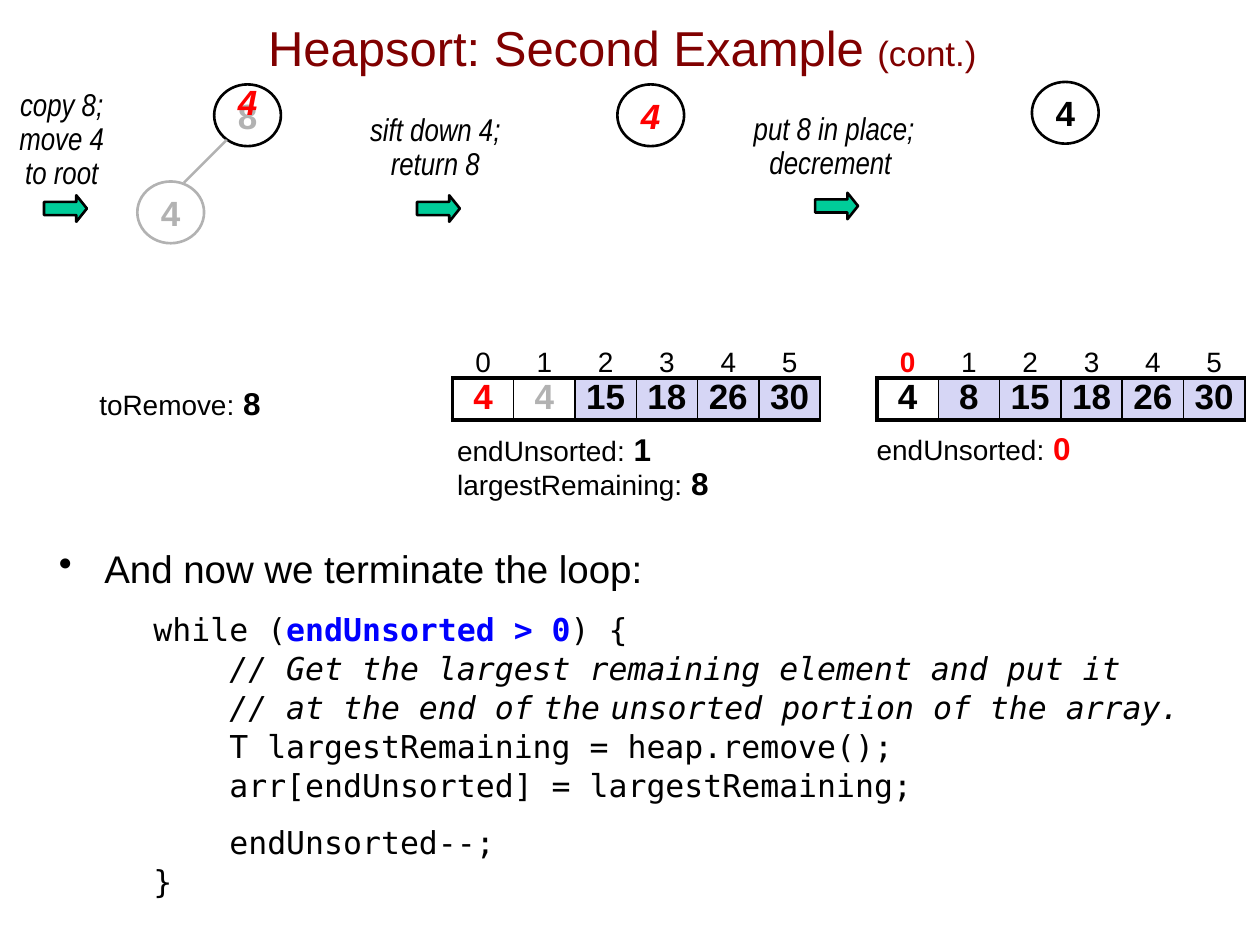
import pptx
import pptx.chart.data
import pptx.dml.color
import pptx.enum.shapes
import pptx.enum.text
import pptx.oxml
import pptx.oxml.ns
import pptx.util
from lxml import etree

Inches = pptx.util.Inches
Pt = pptx.util.Pt
Shape = pptx.enum.shapes.MSO_SHAPE
Align = pptx.enum.text.PP_ALIGN
Anchor = pptx.enum.text.MSO_ANCHOR
qn = pptx.oxml.ns.qn

COLORS = {
    "title": "800000", "ink": "000000", "gray": "B2B2B2", "red": "FF0000",
    "blue": "0000FF", "arrow": "00CC99", "sorted": "D6D6F5",
}


def rgb(name):
    return pptx.dml.color.RGBColor.from_string(COLORS[name])


class Board:
    """Holds the style and the slide being drawn."""

    sans, narrow, mono = "Arial", "Arial Narrow", "DejaVu Sans Mono"
    line = 1.5

    def __init__(self, slide):
        self.slide = slide
        self.shapes = slide.shapes

    def style(self, run, size, color="ink", bold=False, italic=False, face=None):
        font = run.font
        font.name = face or self.sans
        font.size = Pt(size)
        font.color.rgb = rgb(color)
        font.bold, font.italic = bold, italic

    def fill_para(self, para, parts):
        """Write runs given as (text, style) pairs."""
        for text, look in parts:
            run = para.add_run()
            run.text = text
            self.style(run, **look)

    def title(self, parts):
        box = self.shapes.title
        box.left, box.top = Inches(0.64), Inches(-0.09)
        box.width, box.height = Inches(8.6), Inches(0.93)
        box.text_frame.vertical_anchor = Anchor.MIDDLE
        para = box.text_frame.paragraphs[0]
        para.alignment = Align.CENTER
        self.fill_para(para, parts)

    def box(self, left, top, width, height, wrap=False):
        frame = self.shapes.add_textbox(
            Inches(left), Inches(top), Inches(width), Inches(height)).text_frame
        frame.word_wrap = wrap
        return frame

    def note(self, left, top, width, height, text):
        para = self.box(left, top, width, height).paragraphs[0]
        para.text = text
        para.alignment, para.line_spacing = Align.CENTER, 0.9
        for run in para.runs:
            self.style(run, 18, italic=True, face=self.narrow)

    def values(self, left, top, width, height, pairs, space=0.9):
        """List variables as (name, value, value colour)."""
        frame = self.box(left, top, width, height)
        for i, (name, value, color) in enumerate(pairs):
            para = frame.add_paragraph() if i else frame.paragraphs[0]
            para.line_spacing = space
            self.fill_para(para, [
                (name + ":", {"size": 16}), (" ", {"size": 18}),
                (value, {"size": 18, "color": color, "bold": True})])

    def node(self, left, top, text, color="ink", edge="ink", italic=False):
        oval = self.shapes.add_shape(
            Shape.OVAL, Inches(left), Inches(top), Inches(0.53), Inches(0.49))
        oval.shadow.inherit = False
        oval.fill.background()
        if edge:
            oval.line.color.rgb = rgb(edge)
            oval.line.width = Pt(self.line)
        else:
            oval.line.fill.background()
        frame = oval.text_frame
        frame.margin_left = frame.margin_right = 0
        frame.margin_top = frame.margin_bottom = 0
        frame.vertical_anchor = Anchor.MIDDLE
        frame.text = text
        frame.paragraphs[0].alignment = Align.CENTER
        self.style(frame.paragraphs[0].runs[0], 20, color, True, italic)

    def edge(self, x1, y1, x2, y2):
        link = self.shapes.add_connector(
            pptx.enum.shapes.MSO_CONNECTOR.STRAIGHT,
            Inches(x1), Inches(y1), Inches(x2), Inches(y2))
        link.line.color.rgb = rgb("gray")
        link.line.width = Pt(self.line)
        etree.SubElement(link._element.spPr, qn("a:effectLst"))

    def arrow(self, left, top):
        arrow = self.shapes.add_shape(
            Shape.RIGHT_ARROW, Inches(left), Inches(top), Inches(0.34), Inches(0.21))
        arrow.shadow.inherit = False
        arrow.adjustments[0], arrow.adjustments[1] = 0.5, 0.4
        arrow.fill.solid()
        arrow.fill.fore_color.rgb = rgb("arrow")
        arrow.line.color.rgb = rgb("ink")
        arrow.line.width = Pt(self.line)

    def border(self, cell, first):
        props = cell._tc.get_or_add_tcPr()
        widths = {"L": 2.25 if first else 1, "R": 1, "T": 2.25, "B": 2.25}
        for i, (side, width) in enumerate(widths.items()):
            line = etree.Element(qn("a:ln" + side), w=str(Pt(width)))
            solid = etree.SubElement(line, qn("a:solidFill"))
            etree.SubElement(solid, qn("a:srgbClr"), val=COLORS["ink"])
            props.insert(i, line)

    def array(self, left, items, start, looks, current=None):
        """Draw indices above items; those from start on are sorted."""
        table = self.shapes.add_table(
            2, len(items), Inches(left), Inches(2.68), Inches(2.92), Inches(0.65)).table
        table.first_row = table.horz_banding = False
        table.rows[0].height, table.rows[1].height = Inches(0.32), Inches(0.33)
        for col, item in enumerate(items):
            table.columns[col].width = Inches(2.92 / len(items))
            head, cell = table.cell(0, col), table.cell(1, col)
            head.text, cell.text = str(col), str(item)
            head.vertical_anchor = Anchor.BOTTOM
            head.margin_bottom = 0
            cell.margin_left = cell.margin_right = 0
            cell.margin_top = cell.margin_bottom = 0
            head.fill.background()
            if col < start:
                cell.fill.background()
            else:
                cell.fill.solid()
                cell.fill.fore_color.rgb = rgb("sorted")
            self.border(cell, col == 0)
            now = col == current
            paras = [part.text_frame.paragraphs[0] for part in (head, cell)]
            for para in paras:
                para.alignment = Align.CENTER
            self.style(paras[0].runs[0], 16, "red" if now else "ink", now)
            self.style(paras[1].runs[0], 20, looks.get(col, "ink"), True)

    def code(self, frame, lines):
        """Add code lines given as (space before, runs)."""
        for gap, parts in lines:
            para = frame.add_paragraph()
            para._p.get_or_add_pPr().set("marL", str(Inches(0.75)))
            para.space_before, para.line_spacing = Pt(gap), 1.03
            self.fill_para(para, [
                (text, {"size": 18, "face": self.mono, **look}) for text, look in parts])

    def bullet(self, frame, text):
        para = frame.paragraphs[0]
        props = para._p.get_or_add_pPr()
        props.set("marL", str(Inches(0.36)))
        props.set("indent", str(-Inches(0.36)))
        etree.SubElement(props, qn("a:buChar"), char="•")
        self.fill_para(para, [(text, {"size": 22})])


def main():
    deck = pptx.Presentation()
    deck.slide_width, deck.slide_height = Inches(10), Inches(7.5)
    board = Board(deck.slides.add_slide(deck.slide_layouts[5]))

    board.title([("Heapsort: Second Example ", {"size": 28, "color": "title"}),
                 ("(cont.)", {"size": 20, "color": "title"})])

    board.node(1.7, 0.67, "8", "gray")
    board.node(1.09, 1.44, "4", "gray", "gray")
    board.edge(1.8, 1.11, 1.46, 1.45)
    board.node(4.9, 0.67, "4", "red", italic=True)
    board.node(8.19, 0.65, "4")
    board.node(1.7, 0.56, "4", "red", None, True)

    for left, top in ((0.35, 1.55), (3.31, 1.55), (6.47, 1.53)):
        board.arrow(left, top)
    board.note(0.05, 0.66, 0.88, 0.91, "copy 8;\vmove 4\vto root")
    board.note(2.83, 0.86, 1.25, 0.65, "sift down 4;\vreturn 8")
    board.note(5.87, 0.85, 1.5, 0.65, "put 8 in place;\vdecrement ")

    board.values(0.69, 3, 1.5, 0.4, [("toRemove", "8", "ink")], 1)
    board.values(3.53, 3.4, 2.22, 0.65,
                 [("endUnsorted", "1", "ink"), ("largestRemaining", "8", "ink")])
    board.values(6.86, 3.39, 1.76, 0.37, [("endUnsorted", "0", "red")])
    board.array(3.59, [4, 4, 15, 18, 26, 30], 2, {0: "red", 1: "gray"})
    board.array(6.96, [4, 8, 15, 18, 26, 30], 1, {}, current=0)

    frame = board.box(0.37, 4.28, 9.63, 2.9, wrap=True)
    board.bullet(frame, "And now we terminate the loop:")
    slant = {"italic": True}
    thin = {"italic": True, "size": 10}
    board.code(frame, [
        (10, [("while (", {}), ("endUnsorted > 0", {"color": "blue", "bold": True}),
              (") {", {})]),
        (0, [("    // Get the largest remaining element and put it", slant)]),
        (0, [("    // at the end of", slant), (" ", thin), ("the", slant), (" ", thin),
             ("unsorted portion of the array.", slant)]),
        (0, [("    T largestRemaining = heap.remove();", {})]),
        (0, [("    arr[endUnsorted] = largestRemaining;", {})]),
        (10.5, [("    endUnsorted--;", {})]),
        (0, [("}", {})]),
    ])
    deck.save("out.pptx")


if __name__ == "__main__":
    main()
